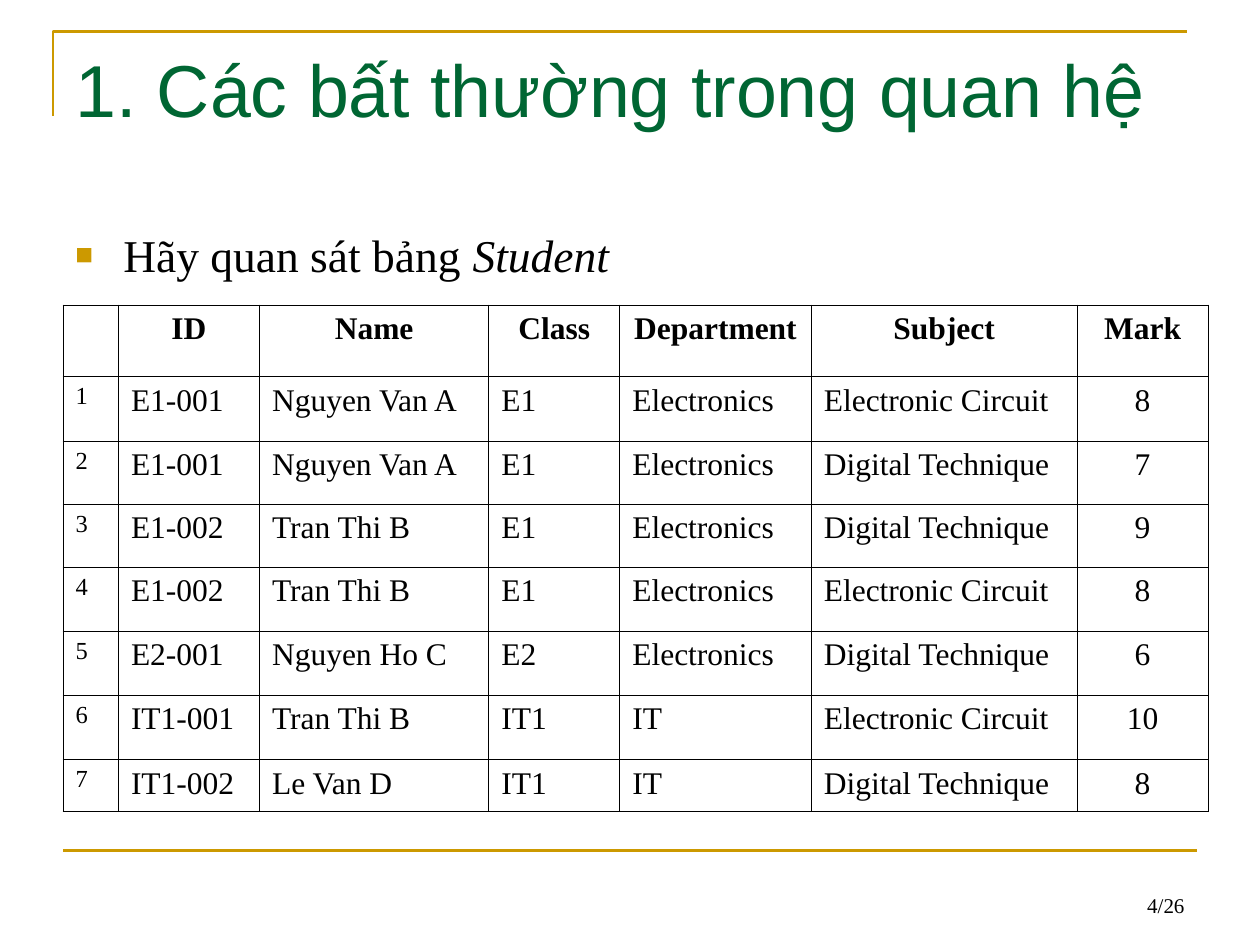
from lxml import etree
from pptx import Presentation
from pptx import util as u
from pptx.dml.color import RGBColor
from pptx.enum import shapes, text
from pptx.oxml import ns

GOLD = RGBColor(0xCC, 0x99, 0x00)
GREEN = RGBColor(0x00, 0x66, 0x33)
BLACK = RGBColor(0x00, 0x00, 0x00)
SERIF = "Times New Roman"
LEFT, CENTER, RIGHT = text.PP_ALIGN.LEFT, text.PP_ALIGN.CENTER, text.PP_ALIGN.RIGHT
TOP, BOTTOM = text.MSO_ANCHOR.TOP, text.MSO_ANCHOR.BOTTOM

TITLE = "1. Các bất thường trong quan hệ"
PROMPT = [("Hãy quan sát bảng ", False), ("Student", True)]
PAGE_NUMBER = "4/26"
HEADER = ("", "ID", "Name", "Class", "Department", "Subject", "Mark")
STUDENTS = [
    ("E1-001", "Nguyen Van A", "E1", "Electronics", "Electronic Circuit", "8"),
    ("E1-001", "Nguyen Van A", "E1", "Electronics", "Digital Technique", "7"),
    ("E1-002", "Tran Thi B", "E1", "Electronics", "Digital Technique", "9"),
    ("E1-002", "Tran Thi B", "E1", "Electronics", "Electronic Circuit", "8"),
    ("E2-001", "Nguyen Ho C", "E2", "Electronics", "Digital Technique", "6"),
    ("IT1-001", "Tran Thi B", "IT1", "IT", "Electronic Circuit", "10"),
    ("IT1-002", "Le Van D", "IT1", "IT", "Digital Technique", "8"),
]
COLUMN_WIDTHS = (0.44, 1.12, 1.82, 1.04, 1.52, 2.11, 1.04)
ROW_HEIGHTS = (0.57, 0.51, 0.5, 0.5, 0.51, 0.51, 0.51, 0.41)
BORDER_WIDTH = 0.45


def inches(*values):
    return [u.Inches(value) for value in values]


def add_xml(parent, tag, **attributes):
    return etree.SubElement(parent, ns.qn(tag), attributes)


def write(paragraph, runs, size, name=SERIF, color=BLACK, bold=False, align=LEFT):
    paragraph.alignment = align
    for words, italic in runs:
        run = paragraph.add_run()
        run.text = words
        values = {"size": u.Pt(size), "name": name, "bold": bold, "italic": italic}
        for key, value in values.items():
            setattr(run.font, key, value)
        run.font.color.rgb = color


def add_text(slide, box, runs, size, anchor=TOP, **style):
    frame = slide.shapes.add_textbox(*inches(*box)).text_frame
    frame.word_wrap = True
    frame.vertical_anchor = anchor
    write(frame.paragraphs[0], runs, size, **style)
    return frame.paragraphs[0]


def add_bullet(paragraph):
    paragraph.space_before = u.Pt(6.5)
    properties = paragraph._p.get_or_add_pPr()
    properties.set("marL", str(u.Inches(0.38)))
    properties.set("indent", str(u.Inches(-0.38)))
    add_xml(add_xml(properties, "a:buClr"), "a:srgbClr", val=str(GOLD))
    add_xml(properties, "a:buSzPct", val="65000")
    add_xml(properties, "a:buFont", typeface="Arial")
    add_xml(properties, "a:buChar", char="■")


def add_rules(slide):
    builder = slide.shapes.build_freeform(*inches(0.42, 0.92), scale=1.0)
    points = [inches(0.42, 0.25), inches(9.42, 0.25)]
    builder.add_line_segments(points, close=False)
    corner = builder.convert_to_shape()
    corner.fill.background()
    corner.shadow.inherit = False
    footer = slide.shapes.add_connector(
        shapes.MSO_CONNECTOR.STRAIGHT, *inches(0.5, 6.75, 9.5, 6.75))
    for rule in (corner, footer):
        rule.line.color.rgb = GOLD
        rule.line.width = u.Pt(1.5)
    add_xml(footer._element.spPr, "a:effectLst")


def add_borders(cell):
    properties = cell._tc.get_or_add_tcPr()
    for side in ("a:lnL", "a:lnR", "a:lnT", "a:lnB"):
        line = add_xml(properties, side, w=str(u.Pt(BORDER_WIDTH)))
        add_xml(add_xml(line, "a:solidFill"), "a:srgbClr", val=str(BLACK))


def add_student_table(slide):
    rows = [HEADER] + [(str(n), *row) for n, row in enumerate(STUDENTS, 1)]
    box = inches(0.5, 2.42, sum(COLUMN_WIDTHS), sum(ROW_HEIGHTS))
    table = slide.shapes.add_table(len(rows), len(HEADER), *box).table
    table.first_row = table.horz_banding = False
    for column, width in zip(table.columns, COLUMN_WIDTHS):
        column.width = u.Inches(width)
    for row, height in zip(table.rows, ROW_HEIGHTS):
        row.height = u.Inches(height)
    for i, row in enumerate(rows):
        for j, words in enumerate(row):
            cell = table.cell(i, j)
            add_borders(cell)
            cell.fill.background()
            if words:
                centered = i == 0 or j == len(HEADER) - 1
                write(cell.text_frame.paragraphs[0], [(words, False)],
                      size=18 if j else 14, bold=i == 0,
                      align=CENTER if centered else LEFT)


def main():
    presentation = Presentation()
    presentation.slide_width, presentation.slide_height = inches(10, 7.5)
    slide = presentation.slides.add_slide(presentation.slide_layouts[6])
    add_rules(slide)
    add_text(slide, (0.5, 0.3, 9, 1.25), [(TITLE, False)], 42, name="Arial", color=GREEN)
    add_bullet(add_text(slide, (0.5, 1.75, 9.08, 4.95), PROMPT, 26))
    add_student_table(slide)
    add_text(slide, (7.17, 6.83, 2.33, 0.5), [(PAGE_NUMBER, False)], 12,
             anchor=BOTTOM, align=RIGHT)
    presentation.save("out.pptx")


if __name__ == "__main__":
    main()
